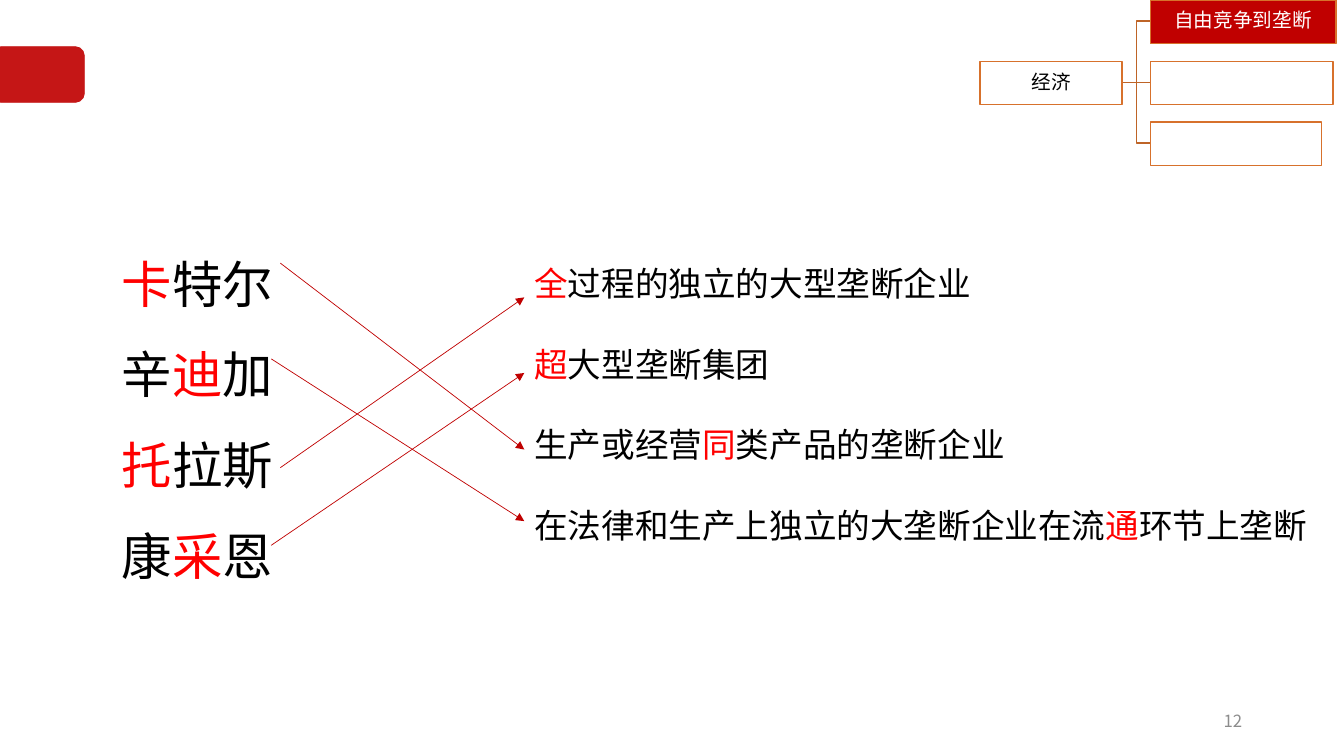
from lxml import etree
from pptx import Presentation
from pptx import util as u
from pptx.dml.color import RGBColor
from pptx.enum import shapes, text
from pptx.oxml import ns

PX = 9144
FONT = "Noto Sans CJK SC"
RED, BRIGHT, BLACK, WHITE = "C00000", "FF0000", "000000", "FFFFFF"
BORDER, BRANCH, GREY = "D7712C", "BE6427", "8C8C8C"

TERMS = ["*卡*特尔", "辛*迪*加", "*托*拉斯", "康*采*恩"]
MEANINGS = [
    "*全*过程的独立的大型垄断企业",
    "*超*大型垄断集团",
    "生产或经营*同*类产品的垄断企业",
    "在法律和生产上独立的大垄断企业在流*通*环节上垄断",
]
MATCHES = [(278, 261, 446), (269, 356, 517), (278, 464, 295), (269, 541, 370)]
TOPICS = [(0, 184, RED, "自由竞争到垄断"), (61, 181, WHITE, ""), (121, 170, WHITE, "")]


def px(*lengths):
    """Turn pixel lengths into EMU."""
    return [u.Emu(length * PX) for length in lengths]


def color(value):
    """Return the colour for a hex string."""
    return RGBColor.from_string(value)


def write(frame, lines, size, ink=BLACK, align=text.PP_ALIGN.LEFT, spacing=1.0):
    """Fill a text frame, with the parts between asterisks in bright red."""
    frame.word_wrap = True
    for index, line in enumerate(lines):
        para = frame.paragraphs[0] if index == 0 else frame.add_paragraph()
        para.alignment, para.line_spacing = align, spacing
        para.font.size, para.font.name = u.Pt(size), FONT
        para.font.color.rgb = color(ink)
        defaults = para._p.pPr.find(ns.qn("a:defRPr"))
        etree.SubElement(defaults, ns.qn("a:ea"), typeface=FONT)
        for part, words in enumerate(line.split("*")):
            if words:
                span = para.add_run()
                span.text = words
                if part % 2:
                    span.font.color.rgb = color(BRIGHT)


def add_badge(page, left, top, width, height):
    """Lay two translucent rounded tabs over each other."""
    for _ in range(2):
        tab = page.shapes.add_shape(
            shapes.MSO_SHAPE.ROUNDED_RECTANGLE, *px(left, top, width, height))
        tab.shadow.inherit = False
        tab.fill.solid()
        tab.fill.fore_color.rgb = color(RED)
        tab.line.fill.background()
        paint = tab._element.spPr.find(f".//{ns.qn('a:srgbClr')}")
        etree.SubElement(paint, ns.qn("a:alpha"), val="70000")


def add_list(page, left, top, width, height, lines, size, spacing):
    """Add a column of widely spaced lines."""
    box = page.shapes.add_textbox(*px(left, top, width, height))
    write(box.text_frame, lines, size, spacing=spacing)
    box.text_frame.auto_size = text.MSO_AUTO_SIZE.SHAPE_TO_FIT_TEXT


def add_match(page, left, top, right, bottom):
    """Draw a thin arrow from a term to its meaning."""
    arrow = page.shapes.add_connector(
        shapes.MSO_CONNECTOR.STRAIGHT, *px(left, top, right, bottom))
    arrow.line.color.rgb = color(RED)
    arrow.line.width = u.Pt(0.5)
    props = arrow._element.spPr
    etree.SubElement(props.find(ns.qn("a:ln")), ns.qn("a:tailEnd"), type="triangle")
    etree.SubElement(props, ns.qn("a:effectLst"))


def add_node(page, left, top, width, height, fill, label, ink):
    """Add one bordered box of the topic tree."""
    node = page.shapes.add_shape(
        shapes.MSO_SHAPE.RECTANGLE, *px(left, top, width, height))
    node.shadow.inherit = False
    if fill:
        node.fill.solid()
        node.fill.fore_color.rgb = color(fill)
    else:
        node.fill.background()
    node.line.color.rgb = color(BORDER)
    node.line.width = u.Pt(1)
    if label:
        frame = node.text_frame
        frame.margin_left, frame.margin_top, frame.margin_right, frame.margin_bottom = px(1, 1, 1, 1)
        frame.vertical_anchor = text.MSO_ANCHOR.MIDDLE
        write(frame, [label], 14, ink, text.PP_ALIGN.CENTER, 0.9)


def add_tree(page, left, top, root_width, gap, height):
    """Draw the root, its branches and the topics on the right."""
    start, end = left + root_width, left + root_width + gap
    root_top = top + TOPICS[1][0]
    middle = root_top + height // 2
    for offset, _, _, _ in reversed(TOPICS):
        target = top + offset + height // 2
        bend = start + gap // 2
        points = [(end, target)]
        if target != middle:
            points = [(bend, middle), (bend, target)] + points
        path = page.shapes.build_freeform(start, middle, scale=PX)
        path.add_line_segments(points, close=False)
        branch = path.convert_to_shape()
        branch.shadow.inherit = False
        branch.fill.background()
        branch.line.color.rgb = color(BRANCH)
        branch.line.width = u.Pt(1)
    add_node(page, left, root_top, root_width, height, None, "经济", BLACK)
    for offset, width, fill, label in TOPICS:
        add_node(page, end, top + offset, width, height, fill, label, WHITE)


def add_page_number(page, left, top, width, height):
    """Add the grey page number at the right of its box."""
    box = page.shapes.add_textbox(*px(left, top, width, height))
    box.text_frame.vertical_anchor = text.MSO_ANCHOR.MIDDLE
    write(box.text_frame, ["12"], 12, GREY, text.PP_ALIGN.RIGHT)


def main():
    """Build the matching slide and save it."""
    deck = Presentation()
    deck.slide_width, deck.slide_height = px(1333, 750)
    page = deck.slides.add_slide(deck.slide_layouts[6])
    add_badge(page, -8, 46, 92, 56)
    add_page_number(page, 942, 695, 300, 40)
    add_list(page, 111, 216, 391, 374, TERMS, 36, 1.5)
    add_list(page, 520, 216, 813, 414, MEANINGS, 24, 2.0)
    for left, top, bottom in MATCHES:
        add_match(page, left, top, 520, bottom)
    add_tree(page, 972, 0, 141, 28, 43)
    deck.save("out.pptx")


if __name__ == "__main__":
    main()
